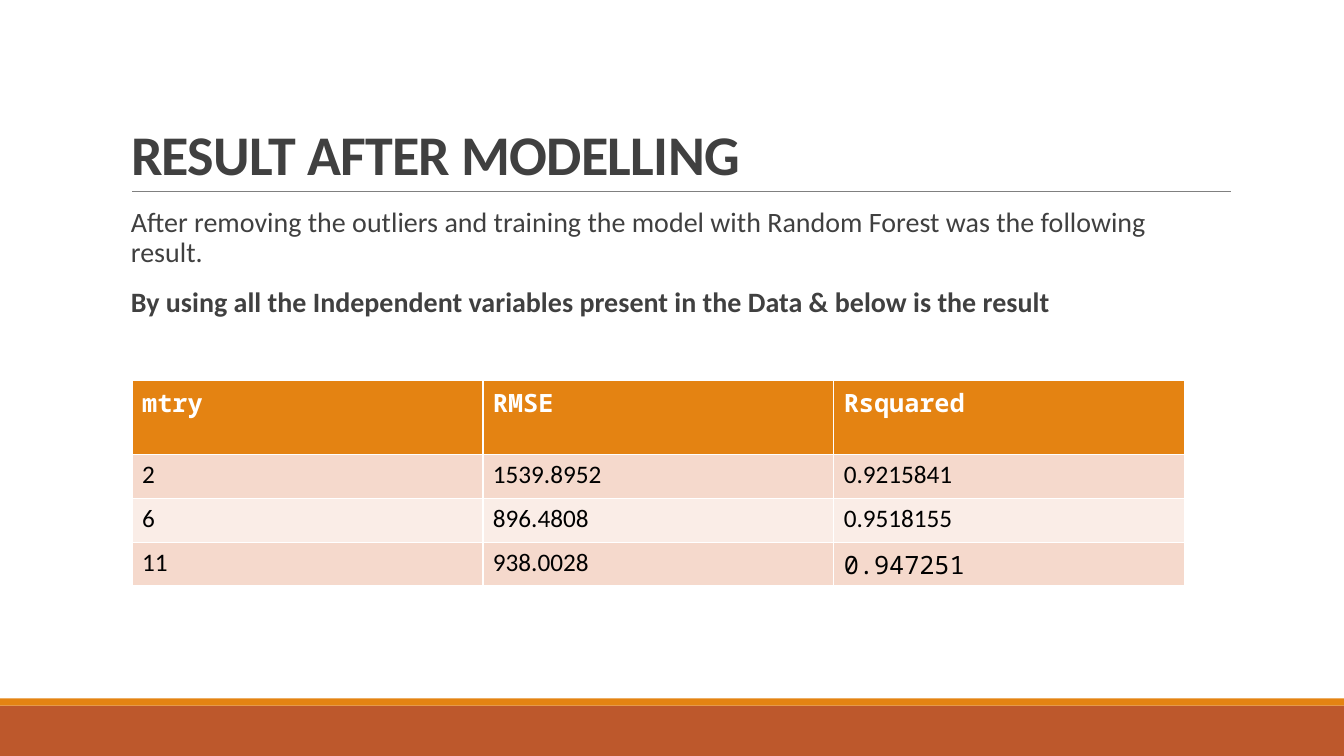
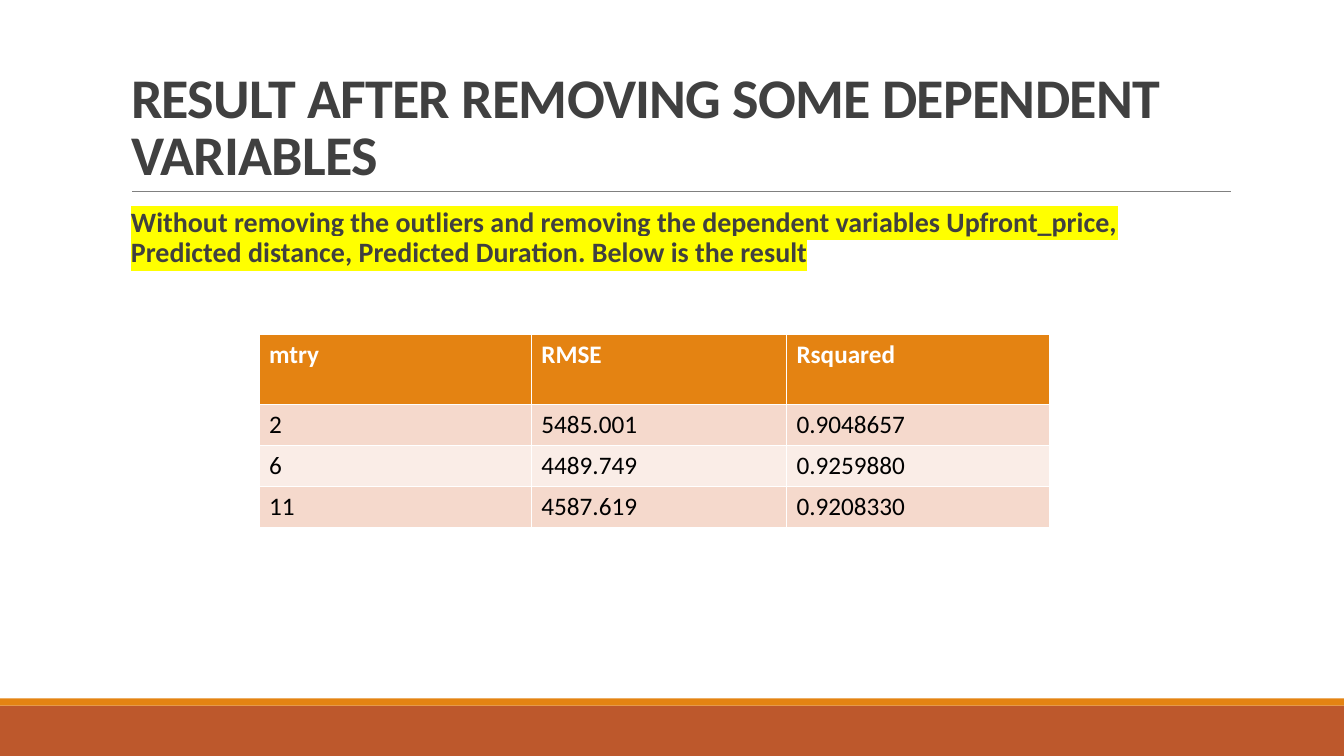
from lxml.etree import SubElement
from pptx import Presentation
from pptx.dml.color import RGBColor
from pptx.enum.shapes import MSO_CONNECTOR, MSO_SHAPE
from pptx.enum.text import MSO_ANCHOR, MSO_AUTO_SIZE, PP_ALIGN
from pptx.oxml.ns import qn
from pptx.util import Cm, Pt

SLIDE_WIDTH, SLIDE_HEIGHT = Cm(33.87), Cm(19.05)
TEXT_LEFT, TEXT_WIDTH = Cm(3.05), Cm(27.94)
RULE_LEFT, RULE_RIGHT, RULE_TOP = Cm(3.33), Cm(31.01), Cm(4.83)
FONT, MONO_FONT = "Calibri", "Noto Sans Mono"
ORANGE, RUST, GREY, DARK = "E48312", "BD582C", "808080", "404040"
WHITE, BLACK, YELLOW = "FFFFFF", "000000", "FFFF00"
ROW_FILLS = ("F5D9CC", "FAEDE7")
HEADINGS = ("mtry", "RMSE", "Rsquared")


def color(hex_value):
    return RGBColor.from_string(hex_value)


def style_font(font, size, hex_value, bold=False, name=FONT):
    font.name, font.size, font.bold = name, Pt(size), bold
    font.color.rgb = color(hex_value)


def add_band(slide, top, height, hex_value):
    band = slide.shapes.add_shape(MSO_SHAPE.RECTANGLE, 0, top, SLIDE_WIDTH, height)
    band.shadow.inherit = False
    band.fill.solid()
    band.fill.fore_color.rgb = color(hex_value)
    band.line.fill.background()


def add_title_rule(slide):
    rule = slide.shapes.add_connector(
        MSO_CONNECTOR.STRAIGHT, RULE_LEFT, RULE_TOP, RULE_RIGHT, RULE_TOP)
    rule.line.color.rgb = color(GREY)
    rule.line.width = Pt(0.5)
    SubElement(rule._element.spPr, qn("a:effectLst"))


def set_title(slide, text):
    title = slide.shapes.title
    title.left, title.top = TEXT_LEFT, Cm(0.79)
    title.width, title.height = TEXT_WIDTH, Cm(4.04)
    frame = title.text_frame
    frame.text = text
    frame.auto_size = MSO_AUTO_SIZE.NONE
    frame.vertical_anchor = MSO_ANCHOR.BOTTOM
    paragraph = frame.paragraphs[0]
    paragraph.alignment = PP_ALIGN.LEFT
    paragraph.line_spacing = 0.85
    style_font(paragraph.font, 40, DARK, bold=True)
    paragraph.runs[0]._r.get_or_add_rPr().set("spc", "-50")


def add_result_slide(presentation, title):
    """Add a slide with the shared title style, rule and bottom bands."""
    slide = presentation.slides.add_slide(presentation.slide_layouts[5])
    add_band(slide, Cm(17.78), Cm(1.27), RUST)
    add_band(slide, Cm(17.6), Cm(0.18), ORANGE)
    add_title_rule(slide)
    set_title(slide, title)
    return slide


def highlight(run, hex_value):
    marker = SubElement(run._r.get_or_add_rPr(), qn("a:highlight"))
    SubElement(marker, qn("a:srgbClr")).set("val", hex_value)


def add_body(slide, statements):
    """Add one paragraph for each (text, bold) pair and return them."""
    box = slide.shapes.add_textbox(TEXT_LEFT, Cm(5.13), TEXT_WIDTH, Cm(3.3))
    frame = box.text_frame
    frame.word_wrap = True
    frame.margin_right = Cm(0.5)
    for index, (text, bold) in enumerate(statements):
        paragraph = frame.add_paragraph() if index else frame.paragraphs[0]
        paragraph.text = text
        paragraph.line_spacing = 0.9
        paragraph.space_before, paragraph.space_after = Pt(12), Pt(2)
        style_font(paragraph.font, 20, DARK, bold)
    return frame.paragraphs


def add_result_table(slide, left, top, column_widths, header_height, row_height,
                     results, mono_cells=()):
    """Add a table; mono_cells holds the (row, column) pairs set in MONO_FONT."""
    rows = [HEADINGS, *results]
    heights = [header_height] + [row_height] * len(results)
    table = slide.shapes.add_table(
        len(rows), len(HEADINGS), left, top, sum(column_widths), sum(heights)).table
    for column, width in zip(table.columns, column_widths):
        column.width = width
    for row_index, (values, height) in enumerate(zip(rows, heights)):
        table.rows[row_index].height = height
        is_header = row_index == 0
        fill = ORANGE if is_header else ROW_FILLS[(row_index - 1) % 2]
        for column_index, value in enumerate(values):
            cell = table.cell(row_index, column_index)
            cell.text = value
            cell.fill.solid()
            cell.fill.fore_color.rgb = color(fill)
            name = MONO_FONT if (row_index, column_index) in mono_cells else FONT
            style_font(cell.text_frame.paragraphs[0].font, 18,
                       WHITE if is_header else BLACK, is_header, name)


def main():
    presentation = Presentation()
    presentation.slide_width, presentation.slide_height = SLIDE_WIDTH, SLIDE_HEIGHT

    slide = add_result_slide(presentation, "RESULT AFTER MODELLING")
    add_body(slide, [
        ("After removing the outliers and training the model with Random Forest "
         "was the following result.", False),
        ("By using all the Independent variables present in the Data & below is "
         "the result", True),
    ])
    add_result_table(
        slide, RULE_LEFT, Cm(9.58), [Cm(8.84)] * 3, Cm(1.88), Cm(1.1),
        [("2", "1539.8952", "0.9215841"),
         ("6", "896.4808", "0.9518155"),
         ("11", "938.0028", "0.947251")],
        mono_cells={(0, 0), (0, 1), (0, 2), (3, 2)})

    slide = add_result_slide(
        presentation, "RESULT AFTER REMOVING SOME DEPENDENT VARIABLES")
    paragraphs = add_body(slide, [
        ("Without removing the outliers and removing the dependent variables "
         "Upfront_price, Predicted distance, Predicted Duration. Below is the result",
         True),
    ])
    highlight(paragraphs[0].runs[0], YELLOW)
    add_result_table(
        slide, Cm(6.53), Cm(8.43), [Cm(6.86), Cm(6.43), Cm(6.63)], Cm(1.77), Cm(1.03),
        [("2", "5485.001", "0.9048657"),
         ("6", "4489.749", "0.9259880"),
         ("11", "4587.619", "0.9208330")])

    presentation.save("out.pptx")


if __name__ == "__main__":
    main()
